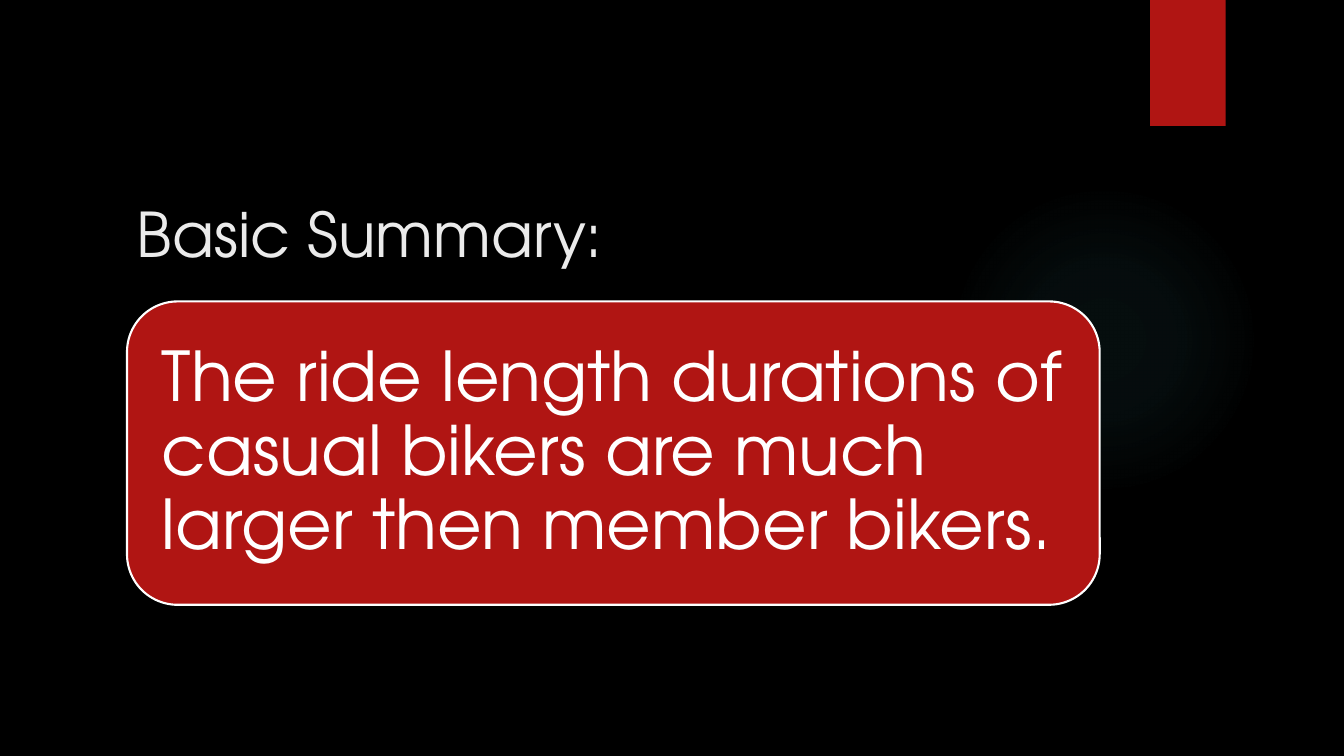
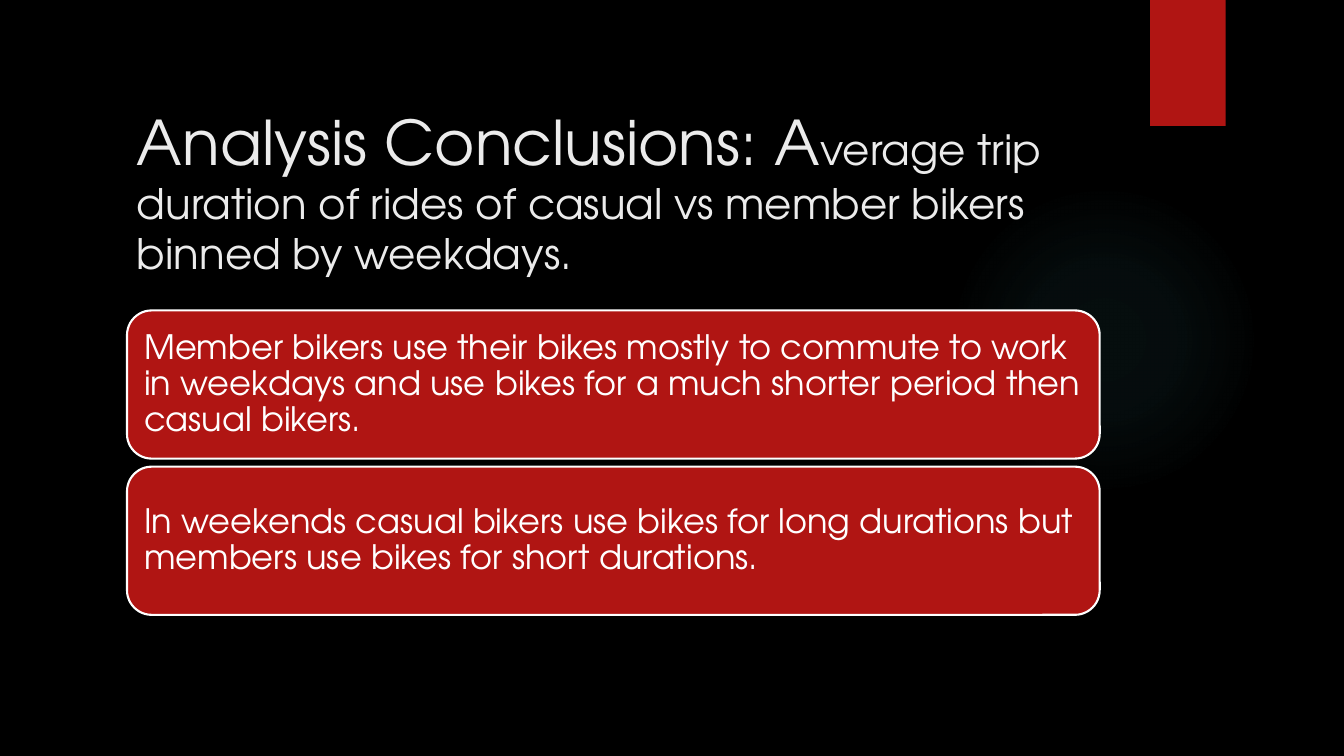
from lxml.etree import SubElement
from pptx import Presentation
from pptx.dml.color import RGBColor
from pptx.enum.shapes import MSO_SHAPE
from pptx.enum.text import MSO_ANCHOR, PP_ALIGN
from pptx.oxml.ns import qn
from pptx.util import Pt

# Content: title runs are (text, size); boxes share one text size and inset
SLIDES = [
    {
        "title": [("Basic Summary:", 44)],
        "title_top": 113.76, "title_height": 82.8,
        "boxes": ["The ride length durations of casual bikers are much larger "
                  "then member bikers."],
        "boxes_top": 215.28, "box_height": 216.72, "size": 49, "inset": 14.4,
    },
    {
        "title": [("Analysis Conclusions: A", 44),
                  ("verage trip duration of rides of casual vs member bikers "
                   "binned by weekdays.", 30)],
        "title_top": 82.08, "title_height": 120.24,
        "boxes": ["Member bikers use their bikes mostly to commute to work in "
                  "weekdays and use bikes for a much shorter period then casual "
                  "bikers.",
                  "In weekends casual bikers use bikes for long durations but "
                  "members use bikes for short durations."],
        "boxes_top": 221.76, "box_height": 105.84, "size": 24, "inset": 7.2,
    },
]

# Shared style
FONT = "TeX Gyre Adventor"
BLACK, RED, WHITE, TITLE_GREY, TEAL = "000000", "B01513", "FFFFFF", "EBEBEB", "50B9C1"
LEFT, WIDTH = 90.72, 694.8
BOX_GAP = 5.76
GLOW_STOPS = [(0, 7), (36, 6), (69, 0)]  # position, opacity in percent


def color(value):
    return RGBColor.from_string(value)


def add_shape(slide, kind, left, top, width, height, fill=None):
    shape = slide.shapes.add_shape(kind, Pt(left), Pt(top), Pt(width), Pt(height))
    shape.shadow.inherit = False
    shape.line.fill.background()
    if fill:
        shape.fill.solid()
        shape.fill.fore_color.rgb = color(fill)
    return shape


def add_run(paragraph, text, size, fill):
    run = paragraph.add_run()
    run.text = text
    run.font.name = FONT
    run.font.size = Pt(size)
    run.font.color.rgb = color(fill)


def add_glow(slide):
    glow = add_shape(slide, MSO_SHAPE.OVAL, 677.52, 131.76, 221.76, 221.76)
    glow.fill.gradient()
    gradient = glow.element.spPr.find(qn("a:gradFill"))
    for child in list(gradient):
        gradient.remove(child)
    stops = SubElement(gradient, qn("a:gsLst"))
    for position, opacity in GLOW_STOPS:
        stop = SubElement(stops, qn("a:gs"), pos=str(position * 1000))
        stop_color = SubElement(stop, qn("a:srgbClr"), val=TEAL)
        SubElement(stop_color, qn("a:alpha"), val=str(opacity * 1000))
    circle = SubElement(gradient, qn("a:path"), path="circle")
    SubElement(circle, qn("a:fillToRect"), l="50000", t="50000", r="50000", b="50000")


def add_title(slide, runs, top, height):
    title = slide.shapes.add_textbox(Pt(LEFT), Pt(top), Pt(WIDTH), Pt(height))
    frame = title.text_frame
    frame.word_wrap = True
    frame.vertical_anchor = MSO_ANCHOR.BOTTOM
    for text, size in runs:
        add_run(frame.paragraphs[0], text, size, TITLE_GREY)


def add_box(slide, text, top, height, size, inset):
    box = add_shape(slide, MSO_SHAPE.ROUNDED_RECTANGLE, LEFT, top, WIDTH, height, RED)
    box.line.color.rgb = color(WHITE)
    box.line.width = Pt(1.5)
    frame = box.text_frame
    frame.word_wrap = True
    frame.vertical_anchor = MSO_ANCHOR.MIDDLE
    frame.margin_left = frame.margin_right = Pt(inset)
    frame.margin_top = frame.margin_bottom = Pt(inset)
    paragraph = frame.paragraphs[0]
    paragraph.alignment = PP_ALIGN.LEFT
    paragraph.line_spacing = 0.9
    add_run(paragraph, text, size, WHITE)


presentation = Presentation()
presentation.slide_width, presentation.slide_height = Pt(960), Pt(540)

for content in SLIDES:
    slide = presentation.slides.add_slide(presentation.slide_layouts[6])

    # Background, glow and corner tab
    slide.background.fill.solid()
    slide.background.fill.fore_color.rgb = color(BLACK)
    add_glow(slide)
    add_shape(slide, MSO_SHAPE.RECTANGLE, 821.52, 0, 54, 90, RED)

    # Title and stacked boxes
    add_title(slide, content["title"], content["title_top"], content["title_height"])
    height = content["box_height"]
    for index, text in enumerate(content["boxes"]):
        top = content["boxes_top"] + index * (height + BOX_GAP)
        add_box(slide, text, top, height, content["size"], content["inset"])

presentation.save("out.pptx")
